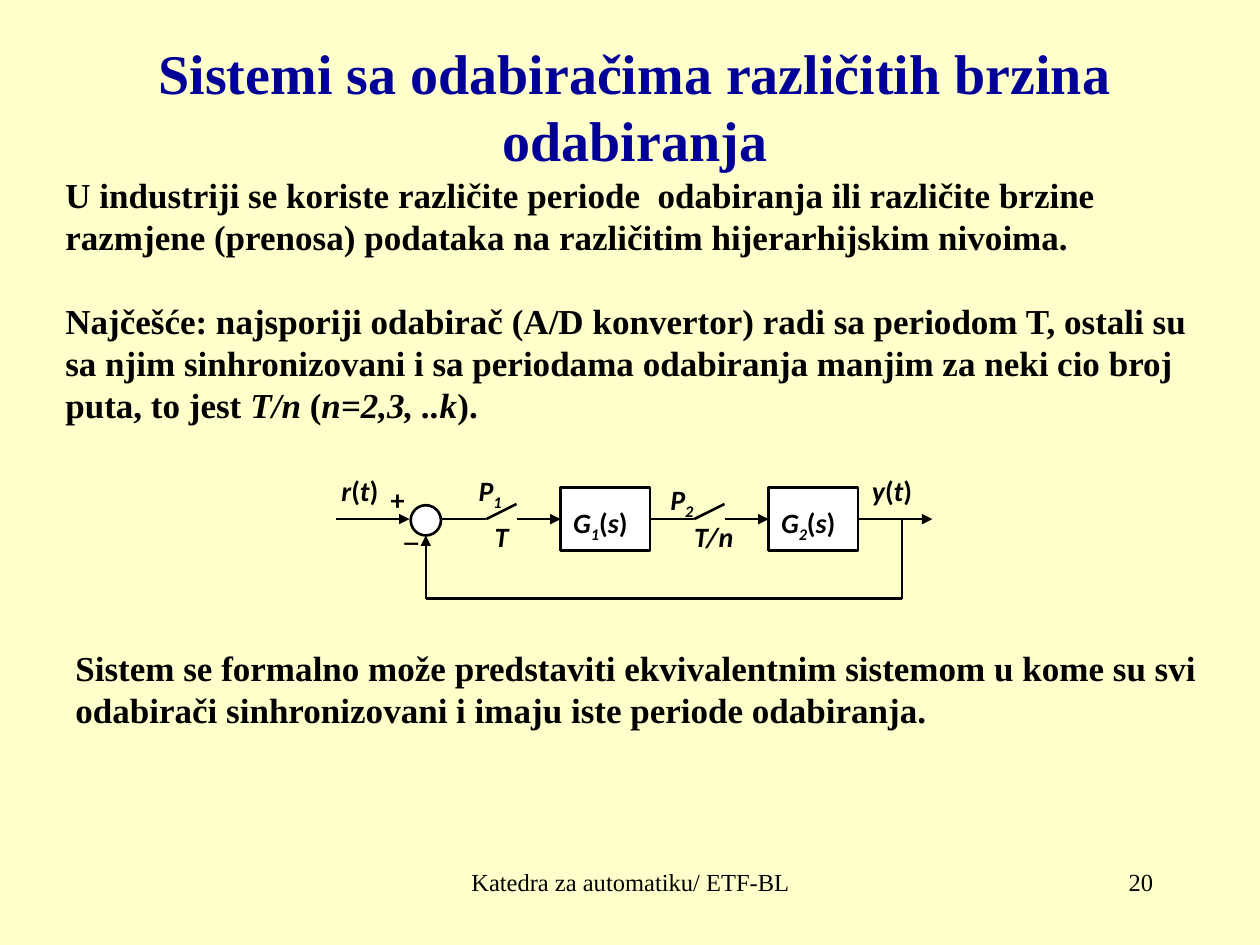
from lxml import etree
from pptx import Presentation
from pptx.dml.color import RGBColor
from pptx.enum.shapes import MSO_CONNECTOR as CONN, MSO_SHAPE as SHAPE
from pptx.enum.text import MSO_ANCHOR as ANCHOR, PP_ALIGN as ALIGN
from pptx.oxml.ns import qn
from pptx.util import Inches, Pt

SERIF, SANS = "Times New Roman", "Calibri"
BLACK, WHITE, NAVY, CREAM = "000000", "FFFFFF", "000099", "FFFFCC"
TOP, LEFT, BOTTOM, RIGHT = range(4)
BOX_INSETS = (0.1, 0.05, 0.1, 0.05)


def rgb(value):
    return RGBColor.from_string(value)


def add_runs(p, runs, size, font=SERIF, color=BLACK, bold=True):
    """Add (text, style) runs; style i is italic, s is subscript."""
    for text, style in runs:
        r = p.add_run()
        r.text = text
        f = r.font
        f.name, f.size, f.bold, f.italic = font, Pt(size), bold, "i" in style
        f.color.rgb = rgb(color)
        if "s" in style:
            r._r.get_or_add_rPr().set("baseline", "-25000")


def set_frame(tf, insets, anchor=ANCHOR.TOP):
    tf.word_wrap = True
    tf.vertical_anchor = anchor
    tf.margin_left, tf.margin_top, tf.margin_right, tf.margin_bottom = map(Inches, insets)


def add_text(s, box, paragraphs, size, font=SERIF, align=ALIGN.LEFT,
             bold=True, insets=BOX_INSETS, gap=0):
    tf = s.shapes.add_textbox(*map(Inches, box)).text_frame
    set_frame(tf, insets)
    for i, runs in enumerate(paragraphs):
        p = tf.add_paragraph() if i else tf.paragraphs[0]
        p.alignment = align
        if i:
            p.space_before = Pt(gap)
        add_runs(p, runs, size, font, bold=bold)


def add_label(s, box, runs, align=ALIGN.LEFT):
    add_text(s, box, [runs], 16, SANS, align, insets=(0, 0, 0, 0))


def add_line(s, x1, y1, x2, y2, arrow=False):
    c = s.shapes.add_connector(CONN.STRAIGHT, *map(Inches, (x1, y1, x2, y2)))
    c.line.color.rgb = rgb(BLACK)
    c.line.width = Pt(1.5)
    if arrow:
        etree.SubElement(c.line._get_or_add_ln(), qn("a:tailEnd"), type="triangle")
    etree.SubElement(c._element.spPr, qn("a:effectLst"))
    return c


def add_node(s, kind, box):
    sp = s.shapes.add_shape(kind, *map(Inches, box))
    sp.shadow.inherit = False
    sp.fill.solid()
    sp.fill.fore_color.rgb = rgb(WHITE)
    sp.line.color.rgb = rgb(BLACK)
    sp.line.width = Pt(1.5)
    return sp


def add_stage(s, x, axis, index, previous=None):
    """Sampling switch starting at x, followed by its transfer block."""
    lead, arm, block_x = x + 0.35, x + 0.59, x + 0.94
    wire = add_line(s, x, axis, lead, axis)
    if previous is not None:
        wire.begin_connect(previous, RIGHT)
    add_line(s, lead, axis, arm, axis - 0.12)
    arrow = add_line(s, arm, axis, block_x, axis, arrow=True)
    block = add_node(s, SHAPE.RECTANGLE, (block_x, axis - 0.25, 0.71, 0.5))
    arrow.end_connect(block, LEFT)
    set_frame(block.text_frame, (0.1, 0.14, 0.1, 0.05))
    p = block.text_frame.paragraphs[0]
    p.alignment = ALIGN.LEFT
    add_runs(p, [("G", "i"), (index, "is"), ("(", ""), ("s", "i"), (")", "")], 16, SANS)
    return block


def add_title(s, box):
    title = s.shapes.title
    title.left, title.top, title.width, title.height = map(Inches, box)
    set_frame(title.text_frame, BOX_INSETS, ANCHOR.MIDDLE)
    p = title.text_frame.paragraphs[0]
    p.alignment = ALIGN.CENTER
    add_runs(p, [("Sistemi sa odabiračima različitih brzina odabiranja", "")], 32, color=NAVY)


def add_intro(s, box):
    add_text(s, box, [
        [("U industriji se koriste različite periode  odabiranja ili različite brzine "
          "razmjene (prenosa) podataka na različitim hijerarhijskim nivoima.", "")],
        [("Najčešće: najsporiji odabirač (A/D konvertor) radi sa periodom T, ostali su "
          "sa njim sinhronizovani i sa periodama odabiranja manjim za neki cio broj "
          "puta, to jest ", ""),
         ("T/n ", "i"), ("(", ""), ("n=2,3, ..k", "i"), (").", "")],
    ], 20, gap=24)


def add_diagram(s, box):
    x, y, w, h = box
    axis, bottom = y + 0.36, y + h
    sum_x, tap_x = x + 0.71, x + w - 0.24

    # Input, summing point and the two sampled stages
    add_line(s, x, axis, x + 0.58, axis, arrow=True)
    add_node(s, SHAPE.OVAL, (sum_x - 0.12, axis - 0.11, 0.24, 0.24))
    first = add_stage(s, x + 0.84, axis, "1")
    second = add_stage(s, x + 2.49, axis, "2", first)

    # Output and feedback loop
    add_line(s, x + 4.14, axis, x + w, axis, arrow=True).begin_connect(second, RIGHT)
    add_line(s, tap_x, axis, tap_x, bottom)
    add_line(s, tap_x, bottom, sum_x, bottom)
    add_line(s, sum_x, bottom, sum_x, axis + 0.13, arrow=True)

    # Signal, sign and sampler labels
    for name, dx, width in (("r", 0.04, 0.35), ("y", 4.25, 0.47)):
        add_label(s, (x + dx, y, width, 0.32),
                  [(name, "i"), ("(", ""), ("t", "i"), (")", "")])
    add_label(s, (x + 0.43, y + 0.07, 0.18, 0.22), [("+", "")])
    add_label(s, (x + 0.54, y + 0.32, 0.29, 0.3), [("_", "")])
    add_label(s, (x + 1.07, y, 0.3, 0.31), [("P", "i"), ("1", "is")], ALIGN.CENTER)
    add_label(s, (x + 2.65, y + 0.07, 0.37, 0.28), [("P", "i"), ("2", "is")])
    add_label(s, (x + 1.19, axis, 0.24, 0.25), [("T", "i")], ALIGN.CENTER)
    add_label(s, (x + 2.84, axis, 0.39, 0.35), [("T/n", "i")])


def add_conclusion(s, box):
    add_text(s, box, [[("Sistem se formalno može predstaviti ekvivalentnim sistemom u kome "
                        "su svi odabirači sinhronizovani i imaju iste periode "
                        "odabiranja.", "")]], 20)


def add_footer(s, box):
    x, y, w, h = box
    add_text(s, (x, y, 3.17, h), [[("Katedra za automatiku/ ETF-BL", "")]], 14,
             align=ALIGN.CENTER, bold=False)
    add_text(s, (x + w - 2.08, y, 2.08, h), [[("20", "")]], 14,
             align=ALIGN.RIGHT, bold=False)


def main():
    prs = Presentation()
    prs.slide_width, prs.slide_height = Inches(10), Inches(7.5)
    s = prs.slides.add_slide(prs.slide_layouts[5])
    s.background.fill.solid()
    s.background.fill.fore_color.rgb = rgb(CREAM)
    add_title(s, (0.58, 0.17, 8.92, 1.33))
    add_intro(s, (0.42, 1.33, 9.25, 3.44))
    add_diagram(s, (2.67, 3.76, 4.73, 0.99))
    add_conclusion(s, (0.5, 5.08, 9.25, 0.77))
    add_footer(s, (3.42, 6.83, 5.83, 0.5))
    prs.save("out.pptx")


if __name__ == "__main__":
    main()
